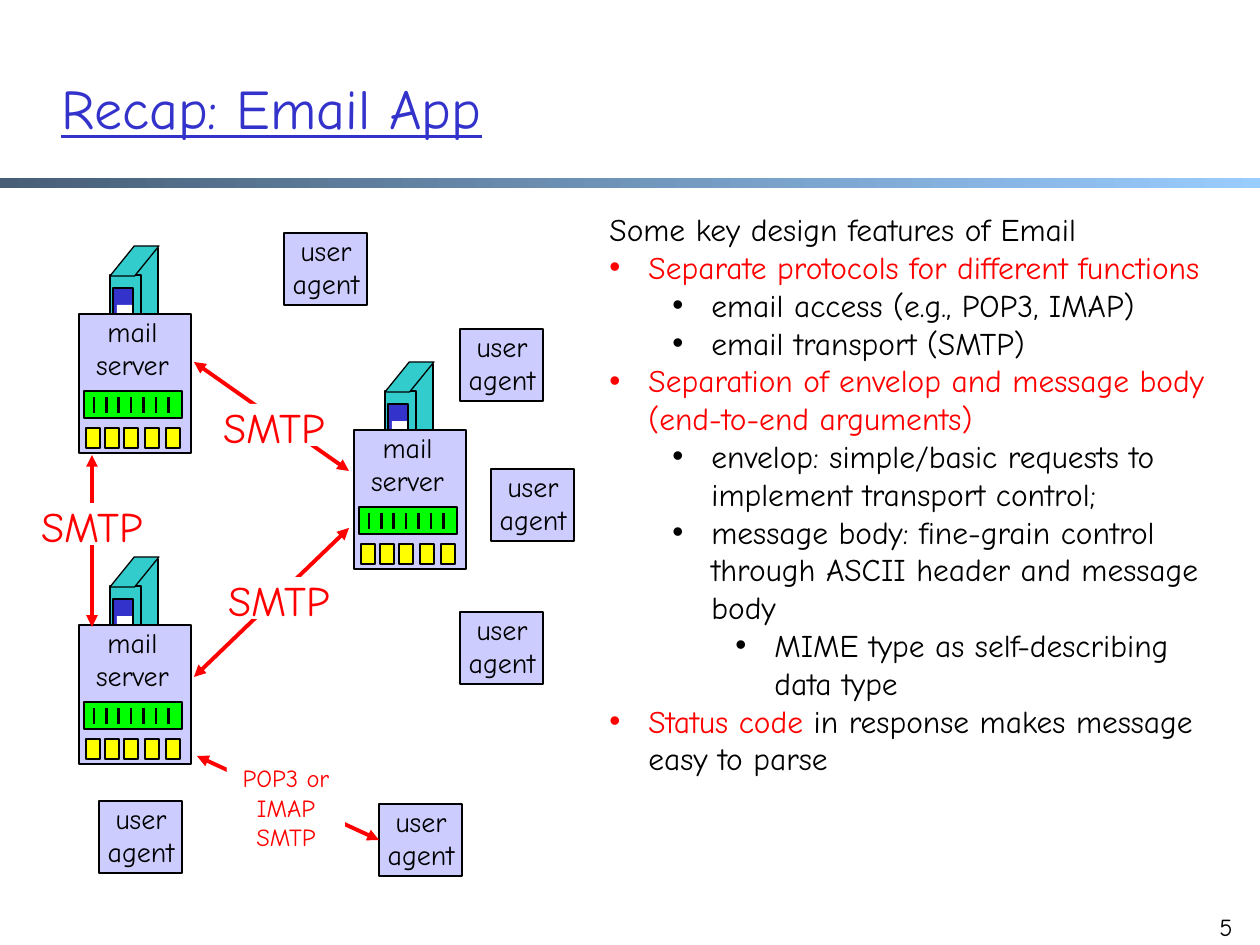
"""Build the "Recap: Email App" slide."""
from lxml.etree import SubElement
from pptx import Presentation
from pptx.dml.color import RGBColor
from pptx.enum.shapes import MSO_CONNECTOR, MSO_SHAPE
from pptx.enum.text import MSO_ANCHOR, PP_ALIGN
from pptx.oxml.ns import qn
from pptx.util import Emu, Pt

BLACK, WHITE, RED, BLUE = "000000", "FFFFFF", "FF0000", "3333CC"
TEAL, LAVENDER, GREEN, YELLOW = "33CCCC", "CCCCFF", "00FF00", "FFFF00"
FONT = "Comic Neue"

FEATURES = [
    (None, [("Some key design features of Email", BLACK)]),
    (0, [("Separate protocols for different functions", RED)]),
    (1, [("email access (e.g., POP3, IMAP)", BLACK)]),
    (1, [("email transport (SMTP)", BLACK)]),
    (0, [("Separation of envelop and message body (end-to-end arguments)", RED)]),
    (1, [("envelop: simple/basic requests to implement transport control;", BLACK)]),
    (1, [("message body: fine-grain control through ASCII header and message body", BLACK)]),
    (2, [("MIME type as self-describing data type", BLACK)]),
    (0, [("Status code ", RED), ("in response makes message easy to parse", BLACK)]),
]


def px(length):
    return Emu(round(length * 914400 / 126))


def rgb(value):
    return RGBColor.from_string(value)


def write(paragraph, text, size=16, color=BLACK, underline=None, align=None):
    run = paragraph.add_run()
    run.text = text
    run.font.name = FONT
    run.font.size = Pt(size)
    run.font.underline = underline
    run.font.color.rgb = rgb(color)
    if align is not None:
        paragraph.alignment = align


class EmailSlide:
    def __init__(self, presentation):
        self.slide = presentation.slides.add_slide(presentation.slide_layouts[6])
        self.shapes = self.slide.shapes

    def box(self, left, top, width, height, fill, line=None, kind=MSO_SHAPE.RECTANGLE):
        shape = self.shapes.add_shape(kind, px(left), px(top), px(width), px(height))
        shape.shadow.inherit = False
        shape.fill.solid()
        shape.fill.fore_color.rgb = rgb(fill)
        if line:
            shape.line.color.rgb = rgb(BLACK)
            shape.line.width = Pt(line)
        else:
            shape.line.fill.background()
        return shape

    def line(self, start, end, width, color=BLACK, arrows=False):
        connector = self.shapes.add_connector(
            MSO_CONNECTOR.STRAIGHT, *map(px, start + end))
        connector.line.color.rgb = rgb(color)
        connector.line.width = Pt(width)
        properties = connector._element.spPr
        SubElement(properties, qn("a:effectLst"))
        if arrows:
            for tag in ("a:headEnd", "a:tailEnd"):
                SubElement(properties.find(qn("a:ln")), qn(tag), type="triangle")
        return connector

    def exchange(self, start, end):
        return self.line(start, end, 2.25, RED, arrows=True)

    def frame(self, left, top, width, height, wrap=True):
        box = self.shapes.add_textbox(px(left), px(top), px(width), px(height))
        box.text_frame.word_wrap = wrap
        return box.text_frame

    def centred(self, frame, lines, **style):
        for index, text in enumerate(lines):
            paragraph = frame.add_paragraph() if index else frame.paragraphs[0]
            write(paragraph, text, align=PP_ALIGN.CENTER, **style)

    def divider(self):
        band = self.box(0, 178, 1260, 10, WHITE)
        band.fill.gradient()
        band.fill.gradient_angle = 0
        for stop, color in zip(band.fill.gradient_stops, ("475E76", "99CCFF")):
            stop.color.rgb = rgb(color)

    def title(self, text):
        frame = self.frame(49, 28, 1155, 158)
        frame.vertical_anchor = MSO_ANCHOR.MIDDLE
        write(frame.paragraphs[0], text, size=32, color=BLUE, underline=True)

    def page_number(self, text):
        frame = self.frame(1182, 906, 63, 39)
        write(frame.paragraphs[0], text, size=14, align=PP_ALIGN.RIGHT)

    def user_agent(self, left, top):
        agent = self.box(left, top, 83, 72, LAVENDER, 1.5)
        self.centred(self.frame(left - 7, top - 6, 98, 81, wrap=False), ("user", "agent"))
        return agent

    def mail_server(self, left, top):
        self.box(left + 56, top - 67, 23, 98, TEAL)
        self.box(left + 31, top - 39, 31, 98, TEAL, 0.75)
        roof = self.box(left + 31, top - 68, 49, 30, TEAL, 0.75, MSO_SHAPE.PARALLELOGRAM)
        roof.adjustments[0] = 0.81
        self.line((left + 79, top - 66), (left + 79, top + 30), 0.75)
        self.box(left + 34, top - 26, 20, 57, BLUE, 0.75)
        self.box(left + 38, top - 9, 15, 20, WHITE)
        self.box(left, top, 112, 139, LAVENDER, 1.5)
        self.centred(self.frame(left - 2, top - 6, 111, 81, wrap=False), ("mail", "server"))
        self.box(left + 5, top + 77, 98, 27, GREEN, 1.5)
        for slot in range(7):
            x = left + 15 + slot * 12.4
            self.line((x, top + 83), (x, top + 99), 1.5)
        for offset in (7, 26, 45, 66, 87):
            self.box(left + offset, top + 114, 14, 20, YELLOW, 0.75)

    def smtp_label(self, left, top):
        self.box(left, top, 118, 42, WHITE)
        frame = self.frame(left - 11, top - 9, 142, 63, wrap=False)
        self.centred(frame, ["SMTP"], size=24, color=RED)

    def access_label(self, left, top):
        self.box(left, top, 118, 42, WHITE)
        frame = self.box(left, top + 6, 118, 102, WHITE).text_frame
        frame.word_wrap = False
        frame.vertical_anchor = MSO_ANCHOR.TOP
        self.centred(frame, ("POP3 or", "IMAP", "SMTP"), size=14, color=RED)

    def feature_list(self, features):
        frame = self.frame(597, 204, 650, 624)
        for index, (level, runs) in enumerate(features):
            paragraph = frame.add_paragraph() if index else frame.paragraphs[0]
            if level is not None:
                paragraph.level = level
                properties = paragraph._p.get_or_add_pPr()
                properties.set("marL", str(px(39 + 63 * level)))
                properties.set("indent", str(-px(39)))
                SubElement(properties, qn("a:buFont"), typeface="Arial")
                SubElement(properties, qn("a:buChar"), char="•")
            for text, color in runs:
                write(paragraph, text, size=18, color=color)


def main():
    presentation = Presentation()
    presentation.slide_width, presentation.slide_height = px(1260), px(945)
    recap = EmailSlide(presentation)
    recap.divider()
    recap.page_number("5")
    recap.title("Recap: Email App")
    for corner in ((79, 314), (354, 430), (79, 625)):
        recap.mail_server(*corner)
    for corner in ((284, 233), (460, 329), (491, 469), (460, 612), (99, 801)):
        recap.user_agent(*corner)
    reader = recap.user_agent(379, 804)
    recap.exchange((194, 362), (349, 471))
    recap.exchange((194, 677), (349, 528))
    recap.exchange((92, 627), (92, 455))
    for corner in ((219, 577), (214, 404), (32, 503)):
        recap.smtp_label(*corner)
    recap.exchange((197, 756), (379, 840)).end_connect(reader, 1)
    recap.access_label(227, 751)
    recap.feature_list(FEATURES)
    presentation.save("out.pptx")


if __name__ == "__main__":
    main()
